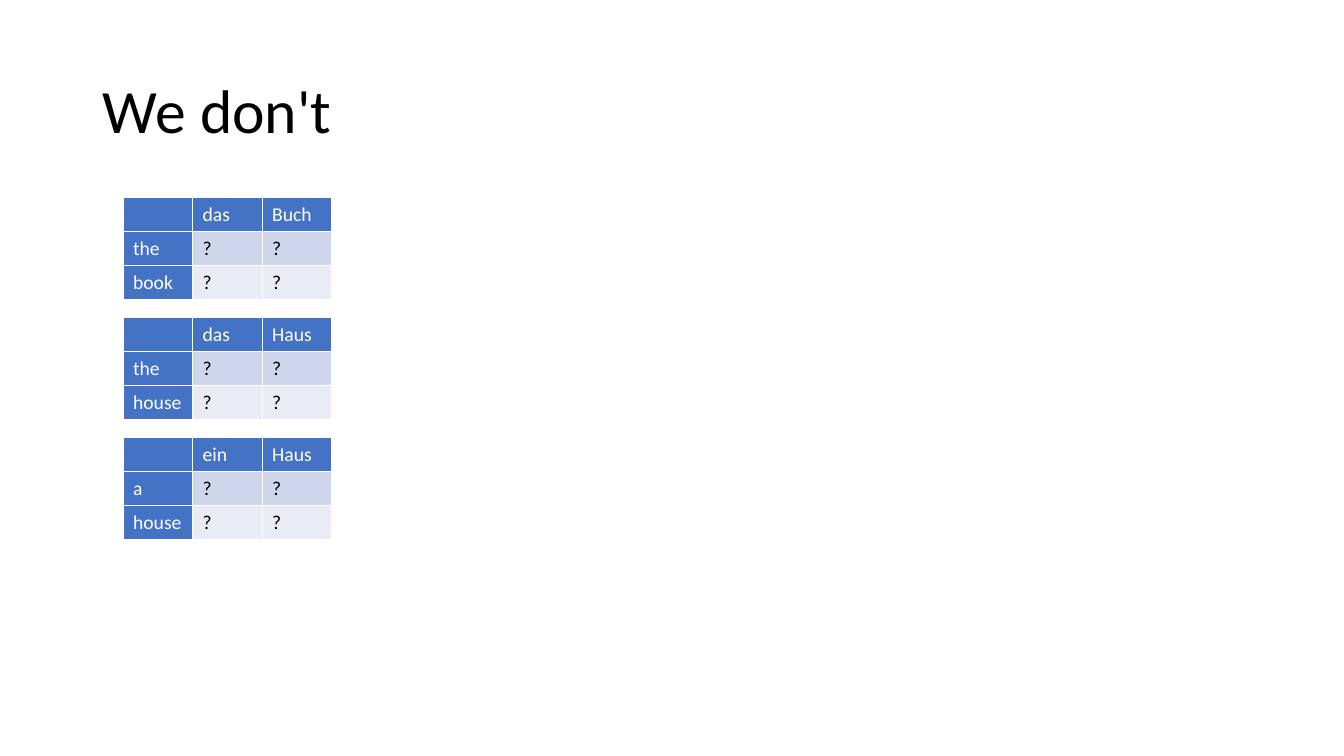
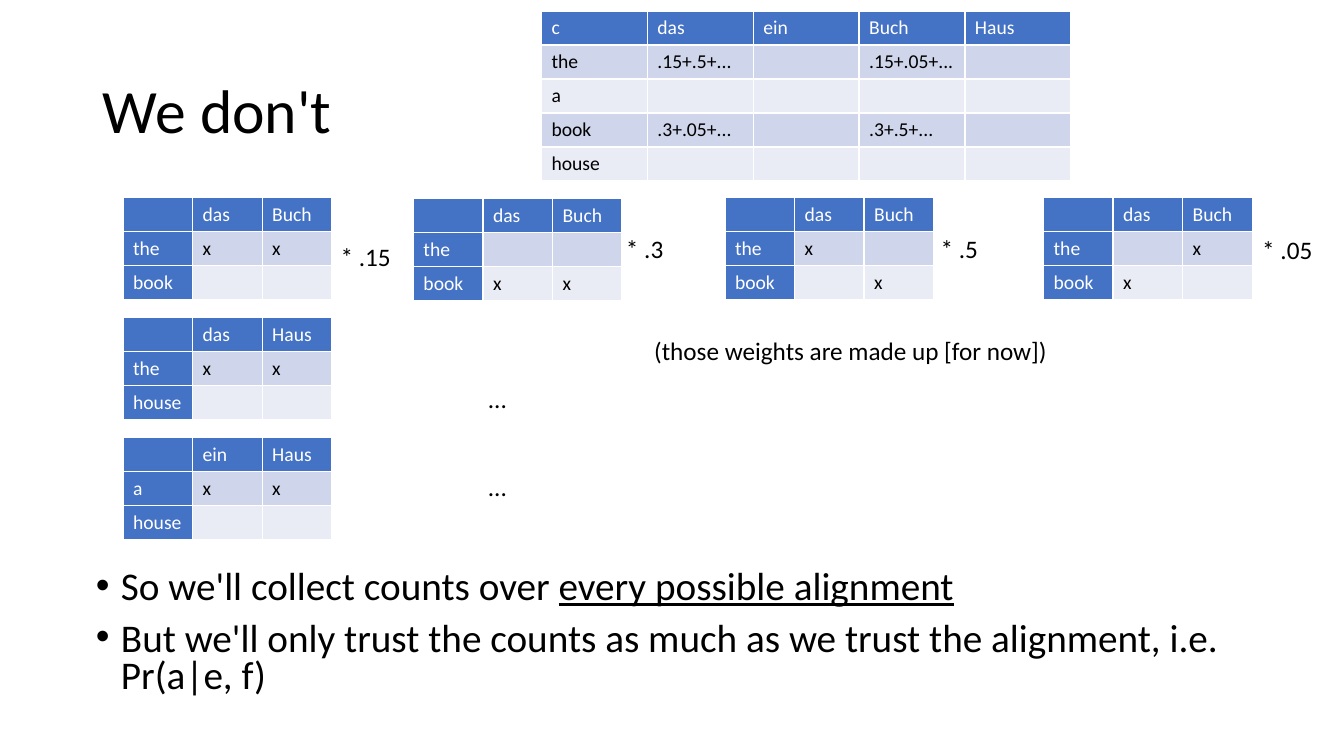
"""Build two slides on collecting counts over unknown word alignments."""
from lxml import etree
from pptx import Presentation
from pptx.dml.color import RGBColor
from pptx.enum.text import MSO_ANCHOR, MSO_AUTO_SIZE, PP_ALIGN
from pptx.oxml.ns import qn
from pptx.util import Inches, Pt

LEFT, MIDDLE, TOP = PP_ALIGN.LEFT, MSO_ANCHOR.MIDDLE, MSO_ANCHOR.TOP
FIXED, GROW = MSO_AUTO_SIZE.NONE, MSO_AUTO_SIZE.SHAPE_TO_FIT_TEXT

BLACK, WHITE, BLUE = "000000", "FFFFFF", "4472C4"
BANDS = ["CFD5EA", "E9EBF5"]
FACE = "Calibri"
TITLE = "We don't"
TITLE_BOX = (0.92, 0.4, 11.5, 1.45)
BODY_BOX = (0.85, 5.61, 11.5, 1.43)
GRID_LEFT, GRID_TOP, GRID_STEP = 1.22, 1.96, 1.19
CELL, WIDE, ROW = 0.69, 1.05, 0.33

PAIRS = [("das Buch", "the book"), ("das Haus", "the house"), ("ein Haus", "a house")]
UNKNOWN = ["??", "??"]
FIRST = ["xx", "  "]
OTHERS = [
    (4.1, 1.97, ["  ", "xx"]),
    (7.19, 1.96, ["x ", " x"]),
    (10.35, 1.96, [" x", "x "]),
]
COUNTS = [
    ["c", "das", "ein", "Buch", "Haus"],
    ["the", ".15+.5+...", "", ".15+.05+...", ""],
    ["a", "", "", "", ""],
    ["book", ".3+.05+...", "", ".3+.5+...", ""],
    ["house", "", "", "", ""],
]
NOTES = [
    ("* .15", 3.28, 2.34, 0.71),
    ("* .3", 6.11, 2.27, 0.58),
    ("* .5", 9.23, 2.27, 0.58),
    ("* .05", 12.42, 2.28, 0.71),
    ("...", 4.74, 3.75, 0.39),
    ("...", 4.74, 4.63, 0.39),
    ("(those weights are made up [for now])", 6.39, 3.28, 4.15),
]
POINTS = [
    [("So we'll collect counts over ", False), ("every possible alignment", True)],
    [("But we'll only trust the counts as much as we trust the alignment, "
      "i.e. Pr(a|e, f)", False)],
]


def rgb(code):
    return RGBColor.from_string(code)


def put(item, **values):
    for name, value in values.items():
        setattr(item, name, value)


def write(para, text, size, color=BLACK, **values):
    run = para.add_run()
    run.text = text
    put(run.font, name=FACE, size=Pt(size), bold=False, **values)
    run.font.color.rgb = rgb(color)


def place(shape, box):
    names = ("left", "top", "width", "height")
    put(shape, **dict(zip(names, map(Inches, box))))


def add_title(slide):
    shape = slide.shapes.title
    place(shape, TITLE_BOX)
    put(shape.text_frame, auto_size=FIXED, vertical_anchor=MIDDLE, word_wrap=True)
    para = shape.text_frame.paragraphs[0]
    put(para, alignment=LEFT, line_spacing=0.9)
    write(para, TITLE, 44)


def add_grid(slide, left, top, rows, width, side):
    """Draw a banded table, with a blue first column if side is true."""
    high, wide = len(rows), len(rows[0])
    box = map(Inches, (left, top, width * wide, ROW * high))
    table = slide.shapes.add_table(high, wide, *box).table
    table.first_col = side
    for r, row in enumerate(rows):
        for c, text in enumerate(row):
            cell = table.cell(r, c)
            head = r == 0 or (side and c == 0)
            cell.fill.solid()
            cell.fill.fore_color.rgb = rgb(BLUE if head else BANDS[(r - 1) % 2])
            para = cell.text_frame.paragraphs[0]
            if text.strip():
                write(para, text, 14, WHITE if head else BLACK)
            else:
                etree.SubElement(para._p, qn("a:endParaRPr"), sz="1400")


def add_match(slide, left, top, pair, marks):
    german, english = (words.split() for words in pair)
    rows = [["", *german]] + [[word, *line] for word, line in zip(english, marks)]
    add_grid(slide, left, top, rows, CELL, True)


def add_stack(slide, marks):
    for i, pair in enumerate(PAIRS):
        add_match(slide, GRID_LEFT, GRID_TOP + i * GRID_STEP, pair, marks)


def add_note(slide, text, left, top, width):
    box = slide.shapes.add_textbox(*map(Inches, (left, top, width, 0.4)))
    put(box.text_frame, word_wrap=False, auto_size=GROW)
    write(box.text_frame.paragraphs[0], text, 18)


def add_points(slide):
    shape = slide.placeholders[1]
    place(shape, BODY_BOX)
    frame = shape.text_frame
    put(frame, auto_size=FIXED, vertical_anchor=TOP, word_wrap=True)
    for i, parts in enumerate(POINTS):
        para = frame.add_paragraph() if i else frame.paragraphs[0]
        put(para, alignment=LEFT, line_spacing=0.8, space_before=Pt(10 if i else 0))
        props = para._p.get_or_add_pPr()
        props.set("marL", str(Inches(0.25)))
        props.set("indent", str(-Inches(0.25)))
        etree.SubElement(props, qn("a:buFont"), typeface="Arial")
        etree.SubElement(props, qn("a:buChar"), char="•")
        for text, line in parts:
            write(para, text, 28, underline=line)


def main():
    deck = Presentation()
    put(deck, slide_width=Inches(13.33), slide_height=Inches(7.5))
    plain, full = (deck.slides.add_slide(deck.slide_layouts[i]) for i in (5, 1))
    for slide, marks in ((plain, UNKNOWN), (full, FIRST)):
        add_title(slide)
        add_stack(slide, marks)
    add_points(full)
    for left, top, marks in OTHERS:
        add_match(full, left, top, PAIRS[0], marks)
    add_grid(full, 5.37, 0.11, COUNTS, WIDE, False)
    for note in NOTES:
        add_note(full, *note)
    deck.save("out.pptx")


if __name__ == "__main__":
    main()
